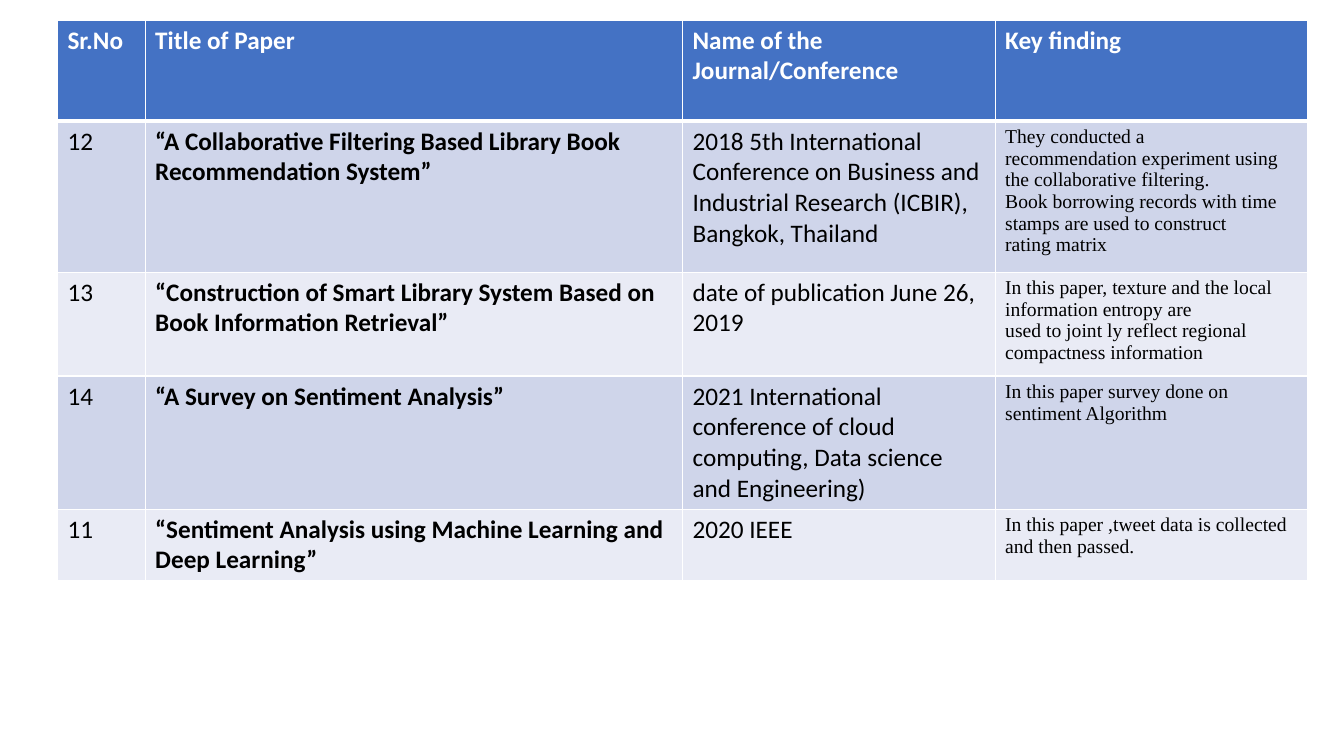
from typing import NamedTuple

from lxml.etree import SubElement
from pptx import Presentation
from pptx.dml.color import RGBColor
from pptx.oxml.ns import qn
from pptx.util import Inches, Pt

COLORS = {
    "head": "4472C4",
    "odd": "CFD5EA",
    "even": "E9EBF5",
    "white": "FFFFFF",
    "black": "000000",
}


class Paper(NamedTuple):
    number: str
    title: str
    venue: str
    finding: str
    height: float


class Style(NamedTuple):
    font: str
    size: int
    bold: bool
    color: str


HEAD = Paper("Sr.No", "Title of Paper", "Name of the Journal/Conference",
             "Key finding", 1.0)
PAPERS = [
    Paper("12",
          "“A Collaborative Filtering Based Library Book Recommendation System”",
          "2018 5th International Conference on Business and Industrial "
          "Research (ICBIR),\nBangkok, Thailand",
          "They conducted a\n"
          "recommendation experiment using the collaborative filtering.\n"
          "Book borrowing records with time stamps are used to construct\n"
          "rating matrix", 1.5),
    Paper("13",
          "“Construction of Smart Library System Based on Book Information "
          "Retrieval”",
          "date of publication June 26, 2019",
          "In this paper, texture and the local information entropy are\n"
          "used to joint ly reflect regional compactness information", 1.03),
    Paper("14", "“A Survey on Sentiment Analysis”",
          "2021 International conference of cloud computing, Data science "
          "and Engineering)",
          "In this paper survey done on sentiment Algorithm", 1.3),
    Paper("11",
          "“Sentiment Analysis using Machine Learning and Deep Learning”",
          "2020 IEEE",
          "In this paper ,tweet data is collected and then passed.", 0.7),
]
WIDTHS = [0.87, 5.33, 3.1, 3.1]
TITLE = Style("Calibri", 18, True, "white")
PLAIN = Style("Calibri", 18, False, "black")
BOLD = Style("Calibri", 18, True, "black")
SMALL = Style("Times New Roman", 14, False, "black")


def add_edges(cell, base: float) -> None:
    """Draw white borders, with the bottom one base points wide."""
    props = cell._tc.get_or_add_tcPr()
    edges = {"a:lnL": 1, "a:lnR": 1, "a:lnT": 1, "a:lnB": base}
    for spot, (tag, width) in enumerate(edges.items()):
        line = SubElement(props, qn(tag), w=str(Pt(width)))
        fill = SubElement(line, qn("a:solidFill"))
        SubElement(fill, qn("a:srgbClr"), val=COLORS["white"])
        props.insert(spot, line)


def fill_cell(cell, text: str, style: Style, fill: str) -> None:
    cell.fill.solid()
    cell.fill.fore_color.rgb = RGBColor.from_string(COLORS[fill])
    cell.text_frame.text = text
    for para in cell.text_frame.paragraphs:
        for run in para.runs:
            run.font.name = style.font
            run.font.size = Pt(style.size)
            run.font.bold = style.bold
            run.font.color.rgb = RGBColor.from_string(COLORS[style.color])


def add_papers(slide) -> None:
    rows = [HEAD, *PAPERS]
    frame = slide.shapes.add_table(
        len(rows), len(WIDTHS), Inches(0.57), Inches(0.2),
        Inches(sum(WIDTHS)), Inches(sum(row.height for row in rows)))
    table = frame.table
    for column, width in zip(table.columns, WIDTHS):
        column.width = Inches(width)
    for r, paper in enumerate(rows):
        table.rows[r].height = Inches(paper.height)
        top = r == 0
        fill = "head" if top else "odd" if r % 2 else "even"
        styles = [TITLE] * 4 if top else [PLAIN, BOLD, PLAIN, SMALL]
        for c, style in enumerate(styles):
            cell = table.cell(r, c)
            fill_cell(cell, paper[c], style, fill)
            add_edges(cell, 3 if top else 1)
            if r == 1:
                cell._tc.tcPr.find(qn("a:lnT")).set("w", str(Pt(3)))


def main() -> None:
    deck = Presentation()
    deck.slide_width = Inches(13.33)
    deck.slide_height = Inches(7.5)
    add_papers(deck.slides.add_slide(deck.slide_layouts[6]))
    deck.save("out.pptx")


if __name__ == "__main__":
    main()
